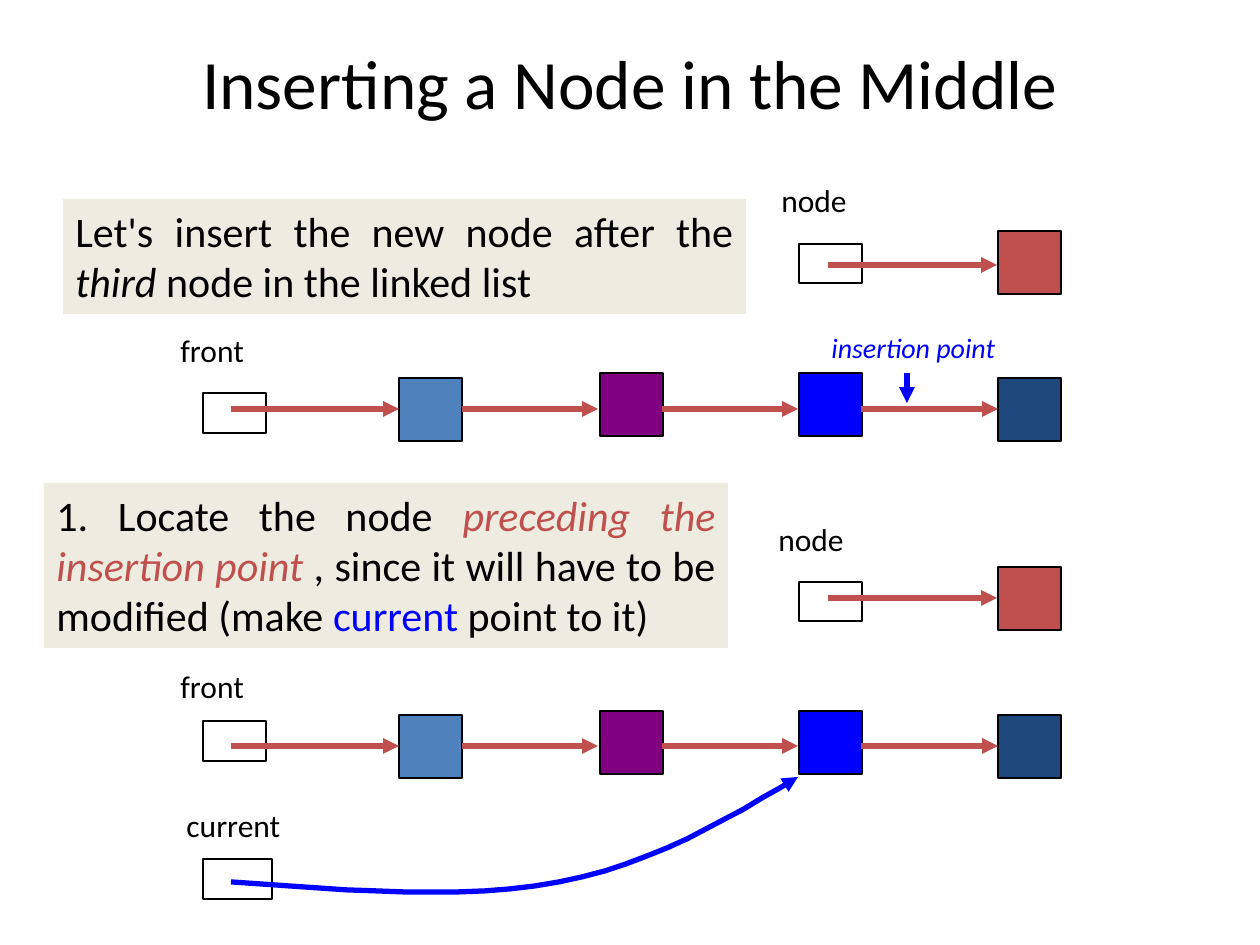
from pptx import Presentation
from pptx.dml.color import RGBColor
from pptx.enum.shapes import MSO_CONNECTOR, MSO_SHAPE
from pptx.enum.text import MSO_ANCHOR, PP_ALIGN
from pptx.oxml.ns import qn
from pptx.util import Pt
from lxml import etree

RECT, STRAIGHT = MSO_SHAPE.RECTANGLE, MSO_CONNECTOR.STRAIGHT
LEFT, CENTER, JUSTIFY = PP_ALIGN.LEFT, PP_ALIGN.CENTER, PP_ALIGN.JUSTIFY
TOP, MIDDLE = MSO_ANCHOR.TOP, MSO_ANCHOR.MIDDLE
PX = 914400 // 126
BLACK, RED, BLUE, PURPLE = "000000", "C0504D", "0000FF", "800080"
STEEL, NAVY, BEIGE = "4F81BD", "1F497D", "EEECE1"
NODE = 63

prs = Presentation()
prs.slide_width, prs.slide_height = 1260 * PX, 945 * PX
shapes = prs.slides.add_slide(prs.slide_layouts[6]).shapes


def rgb(value):
    return RGBColor.from_string(value)


def add_text(runs, x, y, w, h, size=18, align=LEFT, anchor=TOP, fill=None):
    """Each run is (text, colour, italic)."""
    box = shapes.add_textbox(x * PX, y * PX, w * PX, h * PX)
    if fill:
        box.fill.solid()
        box.fill.fore_color.rgb = rgb(fill)
    frame = box.text_frame
    frame.word_wrap = True
    frame.vertical_anchor = anchor
    paragraph = frame.paragraphs[0]
    paragraph.alignment = align
    for text, color, italic in runs:
        run = paragraph.add_run()
        run.text = text
        run.font.name = "Calibri"
        run.font.size = Pt(size)
        run.font.italic = italic
        run.font.color.rgb = rgb(color)


# Title
add_text([("Inserting a Node in the Middle", BLACK, False)], 63, 38, 1134, 88,
         size=39.6, align=CENTER, anchor=MIDDLE)

# Explanations
add_text([("Let's insert the new node after the ", BLACK, False),
          ("third ", BLACK, True),
          ("node in the linked list", BLACK, False)],
         63, 199, 683, 115, size=24, align=JUSTIFY, fill=BEIGE)
add_text([("1. Locate the node ", BLACK, False),
          ("preceding the insertion point", RED, True),
          (" , since it will have to be modified (make ", BLACK, False),
          ("current ", BLUE, False),
          ("point to it)", BLACK, False)],
         44, 483, 684, 165, size=24, align=JUSTIFY, fill=BEIGE)

# Labels
for label, x, y, w in [("node", 769, 175, 126), ("front", 168, 325, 126),
                       ("node", 766, 514, 126), ("front", 168, 661, 126),
                       ("current", 174, 800, 168)]:
    add_text([(label, BLACK, False)], x, y, w, 54)
add_text([("insertion point", BLUE, True)], 819, 324, 268, 47, size=16)

# Pointer boxes, list nodes and arrows, gathered for both states of the list
boxes = [(203, 859, 69, 40, None)]
arrows = [(907, 373, 907, 403, BLUE)]
for wire_y, front_y, inner_y in [(409, 393, 373), (746, 721, 711)]:
    outer_y = wire_y - NODE // 2
    boxes += [(203, front_y, NODE, 40, None),
              (399, outer_y, NODE, NODE, STEEL),
              (600, inner_y, NODE, NODE, PURPLE),
              (799, inner_y, NODE, NODE, BLUE),
              (998, outer_y, NODE, NODE, NAVY)]
    arrows += [(start, wire_y, end, wire_y, RED) for start, end in
               [(231, 399), (462, 598), (662, 798), (861, 998)]]
for new_y, pointer_y, wire_y in [(231, 244, 265), (567, 582, 598)]:
    boxes += [(799, pointer_y, NODE, 39, None), (998, new_y, NODE, NODE, RED)]
    arrows.append((828, wire_y, 997, wire_y, RED))

for x, y, w, h, color in boxes:
    box = shapes.add_shape(RECT, x * PX, y * PX, w * PX, h * PX)
    box.shadow.inherit = False
    box.line.color.rgb = rgb(BLACK)
    box.line.width = Pt(0.75)
    if color:
        box.fill.solid()
        box.fill.fore_color.rgb = rgb(color)
    else:
        box.fill.background()

lines = []
for x1, y1, x2, y2, color in arrows:
    arrow = shapes.add_connector(STRAIGHT, x1 * PX, y1 * PX, x2 * PX, y2 * PX)
    lines.append((arrow, color))

# Curve from current to the third node, two cubic segments
curve = [(231, 882)]
for p0, p1, p2, p3 in [((231, 882), (348, 891), (465, 900), (559, 882)),
                       ((559, 882), (654, 864), (726, 820), (798, 777))]:
    for step in range(1, 13):
        t = step / 12
        curve.append(tuple(
            round((1 - t) ** 3 * a + 3 * (1 - t) ** 2 * t * b
                  + 3 * (1 - t) * t ** 2 * c + t ** 3 * d, 2)
            for a, b, c, d in zip(p0, p1, p2, p3)))
builder = shapes.build_freeform(*curve[0], scale=PX)
builder.add_line_segments(curve[1:], close=False)
current_curve = builder.convert_to_shape()
current_curve.shadow.inherit = False
current_curve.fill.background()
lines.append((current_curve, BLUE))

# Line style and arrowheads
for line, color in lines:
    line.line.color.rgb = rgb(color)
    line.line.width = Pt(3)
    etree.SubElement(line.line._get_or_add_ln(), qn("a:tailEnd"), type="triangle")
    properties = line._element.spPr
    if properties.find(qn("a:effectLst")) is None:
        etree.SubElement(properties, qn("a:effectLst"))

prs.save("out.pptx")
